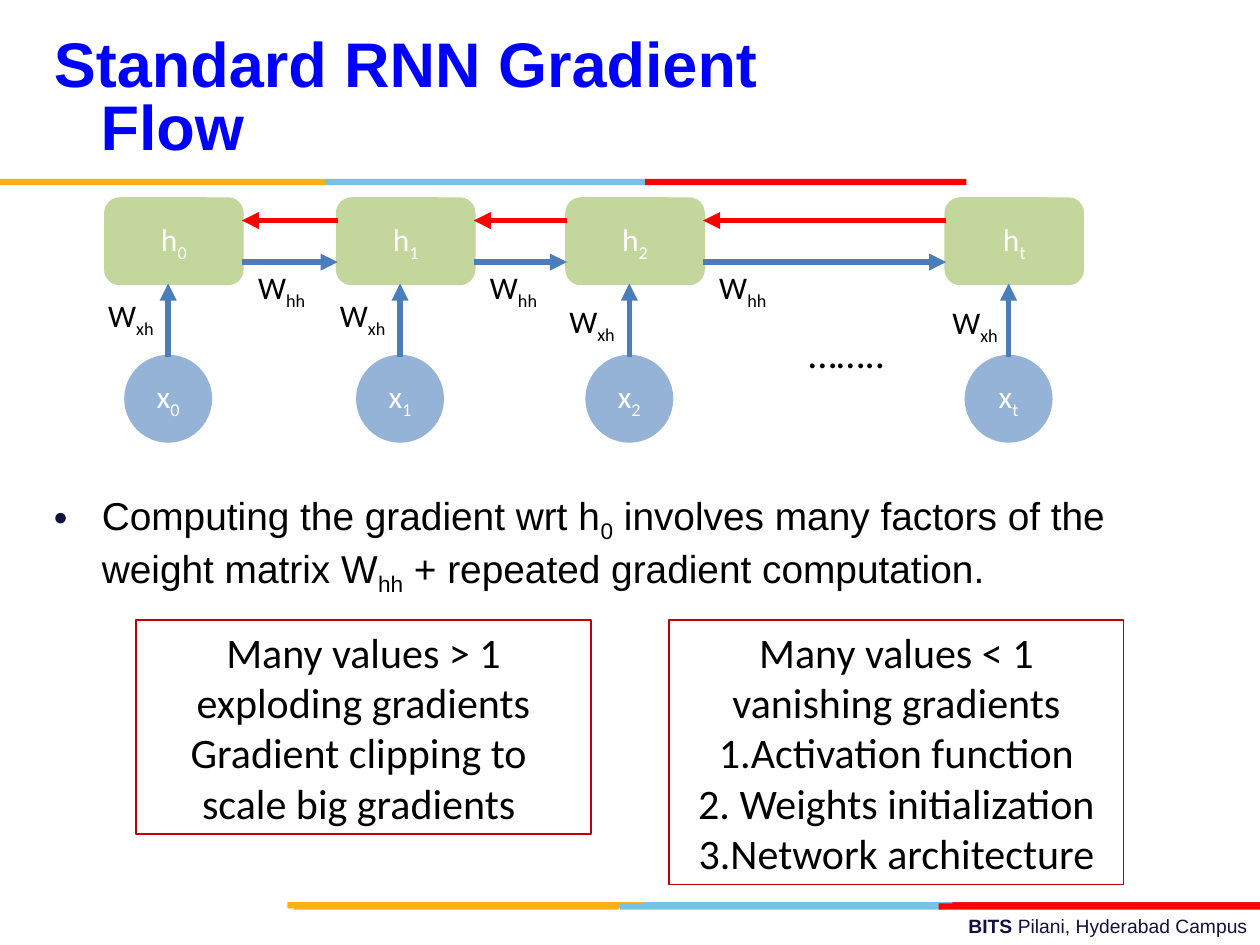
from pptx import Presentation
from pptx.dml.color import RGBColor
from pptx.enum.shapes import MSO_CONNECTOR, MSO_SHAPE
from pptx.enum.text import MSO_ANCHOR, MSO_AUTO_SIZE, PP_ALIGN
from pptx.oxml.ns import qn
from pptx.util import Inches, Pt
from lxml import etree

RECT, ROUNDED, OVAL = MSO_SHAPE.RECTANGLE, MSO_SHAPE.ROUNDED_RECTANGLE, MSO_SHAPE.OVAL
STRAIGHT = MSO_CONNECTOR.STRAIGHT
LEFT, CENTER, RIGHT = PP_ALIGN.LEFT, PP_ALIGN.CENTER, PP_ALIGN.RIGHT
TOP, MIDDLE = MSO_ANCHOR.TOP, MSO_ANCHOR.MIDDLE
FIT_SHAPE = MSO_AUTO_SIZE.SHAPE_TO_FIT_TEXT

COLORS = {
    "navy": "101141", "title": "0000FF", "black": "000000", "white": "FFFFFF",
    "sky": "76C2E5", "amber": "FCB017", "red": "FF0000", "crimson": "E31C24",
    "hidden": "C3D69B", "input": "95B3D7", "forward": "4A7EBB", "frame": "C00000",
}

BANDS = [  # left, top, width, color
    (5.06, 7.16, 2.55, "sky"), (7.56, 7.16, 2.44, "crimson"), (2.28, 7.16, 2.82, "amber"),
    (4.92, 7.17, 2.55, "sky"), (2.33, 7.17, 2.58, "amber"), (7.45, 7.17, 2.55, "red"),
    (2.58, 1.42, 2.55, "sky"), (0, 1.42, 2.58, "amber"), (5.12, 1.42, 2.55, "red"),
]
STEPS = [  # index, left of hidden state, left and top of its input weight
    ("0", 0.84, 0.76, 2.3), ("1", 2.68, 2.6, 2.3),
    ("2", 4.5, 4.42, 2.35), ("t", 7.51, 7.46, 2.36),
]
HIDDEN_TOP, HIDDEN_WIDTH, INPUT_TOP, NODE_HEIGHT = 1.58, 1.08, 2.83, 0.67
FORWARD_Y, BACKWARD_Y = 2.08, 1.75
OUTCOMES = [  # left, height, lines
    (1.08, 1.7, ["Many values > 1", "exploding gradients",
                 "Gradient clipping to ", "scale big gradients "]),
    (5.31, 2.1, ["Many values < 1", "vanishing gradients", "1.Activation function",
                 "2. Weights initialization", "3.Network architecture"]),
]


def color(name):
    return RGBColor.from_string(COLORS[name])


def add_span(para, text, size, ink, font="Calibri", bold=False, sub=False):
    span = para.add_run()
    span.text = text
    span.font.name, span.font.size, span.font.bold = font, Pt(size), bold
    span.font.color.rgb = color(ink)
    if sub:
        span.font._element.set("baseline", "-25000")


def add_symbol(para, letter, index, ink):
    """Write a letter with a subscript index."""
    add_span(para, letter, 18, ink)
    add_span(para, index, 18, ink, sub=True)


def add_text_box(page, left, top, width, height, align=LEFT, anchor=TOP):
    """Return the first paragraph of a new text box."""
    box = page.shapes.add_textbox(Inches(left), Inches(top), Inches(width), Inches(height))
    frame = box.text_frame
    frame.word_wrap, frame.vertical_anchor = True, anchor
    frame.paragraphs[0].alignment = align
    return frame.paragraphs[0]


def add_label(page, left, top, width, height):
    """Return the paragraph of a one-line box that grows with its text."""
    box = page.shapes.add_textbox(Inches(left), Inches(top), Inches(width), Inches(height))
    box.text_frame.word_wrap = False
    box.text_frame.auto_size = FIT_SHAPE
    return box.text_frame.paragraphs[0]


def hang(para, indent):
    props = para._p.get_or_add_pPr()
    props.set("marL", str(Inches(indent)))
    props.set("indent", str(-Inches(indent)))
    return props


def add_block(page, kind, left, top, width, height, fill, line=None, weight=2):
    block = page.shapes.add_shape(kind, Inches(left), Inches(top), Inches(width), Inches(height))
    block.shadow.inherit = False
    block.fill.solid()
    block.fill.fore_color.rgb = color(fill)
    if line:
        block.line.color.rgb = color(line)
        block.line.width = Pt(weight)
    else:
        block.line.fill.background()
    return block


def add_node(page, kind, left, top, width, fill, letter, index):
    node = add_block(page, kind, left, top, width, NODE_HEIGHT, fill, fill)
    node.text_frame.vertical_anchor = MIDDLE
    para = node.text_frame.paragraphs[0]
    para.alignment = CENTER
    add_symbol(para, letter, index, "white")
    return node


def add_arrow(page, x1, y1, x2, y2, ink):
    arrow = page.shapes.add_connector(STRAIGHT, Inches(x1), Inches(y1), Inches(x2), Inches(y2))
    arrow.line.color.rgb = color(ink)
    arrow.line.width = Pt(3.25)
    etree.SubElement(arrow.line._get_or_add_ln(), qn("a:tailEnd"), type="triangle")
    etree.SubElement(arrow._element.spPr, qn("a:effectLst"))
    return arrow


def add_network(page):
    for index, left, weight_left, weight_top in STEPS:
        add_node(page, ROUNDED, left, HIDDEN_TOP, HIDDEN_WIDTH, "hidden", "h", index)
        source = add_node(page, OVAL, left + 0.16, INPUT_TOP, NODE_HEIGHT, "input", "x", index)
        middle = left + 0.16 + NODE_HEIGHT / 2
        arrow = add_arrow(page, middle, INPUT_TOP, middle, HIDDEN_TOP + NODE_HEIGHT, "forward")
        arrow.begin_connect(source, 0)
        add_symbol(add_label(page, weight_left, weight_top, 0.56, 0.44), "W", "xh", "black")
    for (_, left, *_), (_, following, *_) in zip(STEPS, STEPS[1:]):
        edge = left + HIDDEN_WIDTH
        add_arrow(page, edge, FORWARD_Y, following, FORWARD_Y, "forward")
        add_arrow(page, following, BACKWARD_Y, edge, BACKWARD_Y, "red")
        add_symbol(add_label(page, edge + 0.03, FORWARD_Y, 0.58, 0.44), "W", "hh", "black")
    add_span(add_label(page, 6.32, 2.18, 0.82, 0.86), "……..", 40, "black", sub=True)


def add_statement(page):
    para = add_text_box(page, 0.33, 3.85, 9, 0.99)
    props = hang(para, 0.38)
    bullet_color = etree.SubElement(props, qn("a:buClr"))
    etree.SubElement(bullet_color, qn("a:srgbClr"), val=COLORS["navy"])
    etree.SubElement(props, qn("a:buFont"), typeface="Arial")
    etree.SubElement(props, qn("a:buChar"), char="•")
    for text, sub in [("Computing the gradient wrt h", False), ("0", True),
                      (" involves many factors of the weight matrix W", False),
                      ("hh", True), (" + repeated gradient computation.", False)]:
        add_span(para, text, 22.2, "black", "Arial", sub=sub)


def add_outcome(page, left, height, lines):
    box = add_block(page, RECT, left, 4.92, 3.61, height, "white", "frame", 0.75)
    frame = box.text_frame
    frame.vertical_anchor = TOP
    for number, line in enumerate(lines):
        para = frame.add_paragraph() if number else frame.paragraphs[0]
        para.alignment = CENTER
        add_span(para, line, 24, "black")


def main():
    deck = Presentation()
    deck.slide_width, deck.slide_height = Inches(10), Inches(7.5)
    page = deck.slides.add_slide(deck.slide_layouts[6])

    footer = add_text_box(page, 3.58, 7.21, 6.42, 0.29, RIGHT)
    add_span(footer, "BITS ", 11, "navy", "Arial", bold=True)
    add_span(footer, "Pilani, Hyderabad Campus", 11, "navy", "Arial")
    for left, top, width, fill in BANDS:
        add_block(page, RECT, left, top, width, 0.05, fill)

    title = add_text_box(page, 0.33, 0.17, 6.92, 1.25, anchor=MIDDLE)
    hang(title, 0.37)
    title.line_spacing = Pt(36)
    add_span(title, "Standard RNN Gradient Flow", 36, "title", "Arial", bold=True)

    add_network(page)
    add_statement(page)
    for outcome in OUTCOMES:
        add_outcome(page, *outcome)
    deck.save("out.pptx")


if __name__ == "__main__":
    main()
